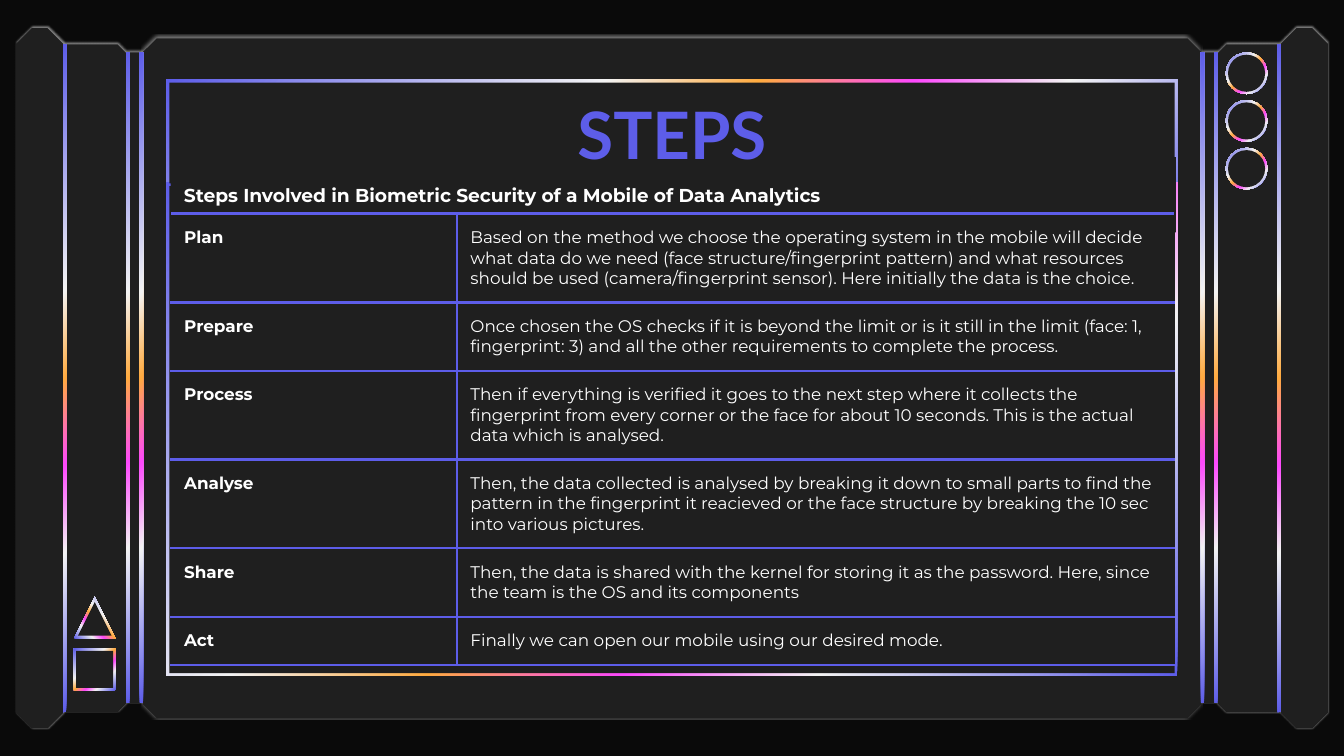
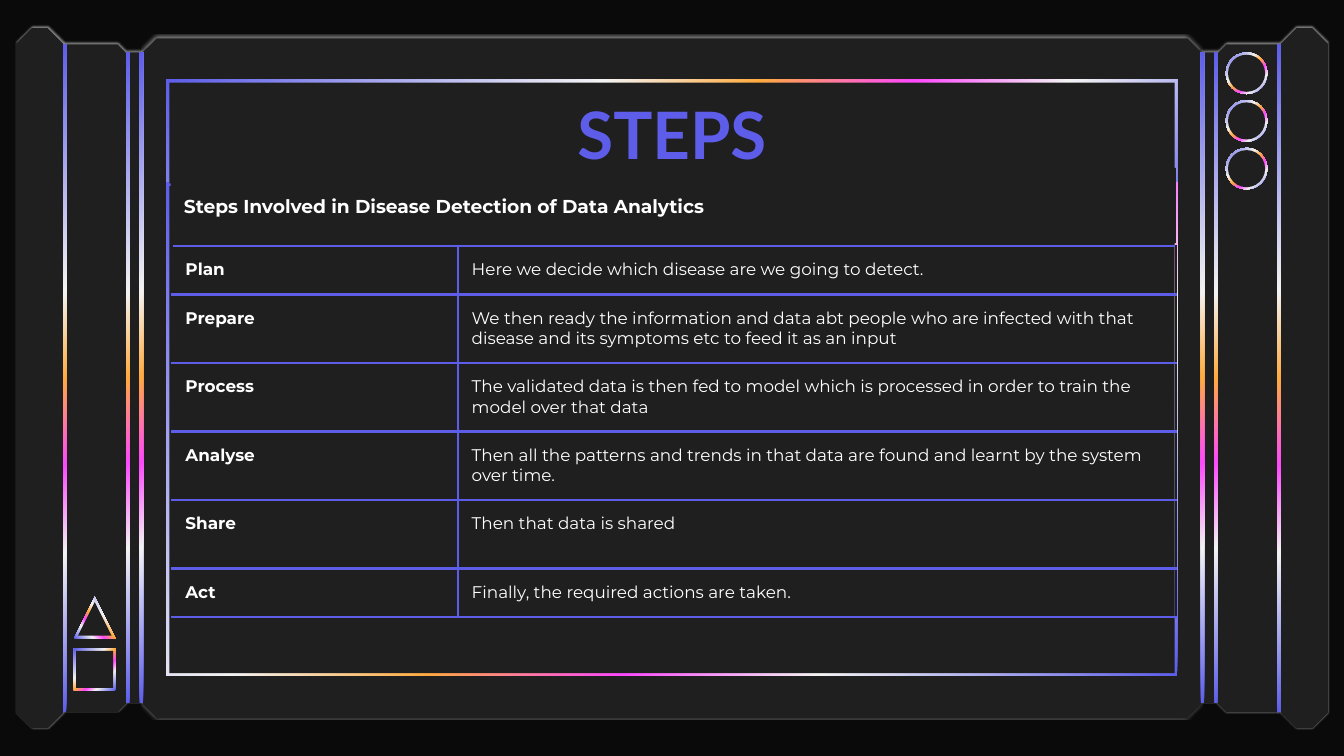
from lxml.etree import SubElement
from pptx import Presentation
from pptx.dml.color import RGBColor
from pptx.enum.shapes import MSO_SHAPE as Preset
from pptx.enum.text import MSO_ANCHOR as Anchor, PP_ALIGN as Align
from pptx.oxml.ns import qn
from pptx.util import Inches, Pt

COLUMNS, ROWS = 100, 56.25
CELL = Inches(0.1)

COLORS = {
    "backdrop": "0A0A0A",
    "panel": "1F1F1F",
    "accent": "5D5DE9",
    "light": "F3F3F3",
    "pink": "FD49FD",
    "orange": "FFAB40",
    "text": "FFFFFF",
}
NEON_STOPS = [(0, "accent"), (24, "light"), (37, "pink"),
              (50, "orange"), (63, "light"), (100, "accent")]
HEADING_FONT, BODY_FONT = "Lato", "Montserrat"
PADDING = 1
STAGE_COLUMNS = (21.3, 53.4)

BIOMETRIC_STEPS = [
    ("Plan", 6.6, "Based on the method we choose the operating system in the mobile will decide "
     "what data do we need (face structure/fingerprint pattern) and what resources should be "
     "used (camera/fingerprint sensor). Here initially the data is the choice."),
    ("Prepare", 5.1, "Once chosen the OS checks if it is beyond the limit or is it still in the "
     "limit (face: 1, fingerprint: 3) and all the other requirements to complete the process."),
    ("Process", 6.6, "Then if everything is verified it goes to the next step where it collects "
     "the fingerprint from every corner or the face for about 10 seconds. This is the actual "
     "data which is analysed."),
    ("Analyse", 6.6, "Then, the data collected is analysed by breaking it down to small parts to "
     "find the pattern in the fingerprint it reacieved or the face structure by breaking the "
     "10 sec into various pictures."),
    ("Share", 5.1, "Then, the data is shared with the kernel for storing it as the password. "
     "Here, since the team is the OS and its components"),
    ("Act", 3.6, "Finally we can open our mobile using our desired mode."),
]
DISEASE_STEPS = [
    ("Plan", 3.6, "Here we decide which disease are we going to detect."),
    ("Prepare", 5.1, "We then ready the information and data abt people who are infected with "
     "that disease and its symptoms etc to feed it as an input"),
    ("Process", 5.1, "The validated data is then fed to model which is processed in order to "
     "train the model over that data"),
    ("Analyse", 5.1, "Then all the patterns and trends in that data are found and learnt by the "
     "system over time."),
    ("Share", 5.1, "Then that data is shared"),
    ("Act", 3.6, "Finally, the required actions are taken."),
]


def cells(*counts):
    """Turn counts of grid cells into lengths."""
    return [round(count * CELL) for count in counts]


def rgb(color):
    return RGBColor.from_string(COLORS[color])


def add_color(parent, color):
    return SubElement(parent, qn("a:srgbClr"), val=COLORS[color])


def add_plain(slide, preset, box, color="panel"):
    shape = slide.shapes.add_shape(preset, *cells(*box))
    shape.shadow.inherit = False
    shape.line.fill.background()
    shape.fill.solid()
    shape.fill.fore_color.rgb = rgb(color)
    return shape


def add_neon(slide, preset, box):
    """Add a shape filled with the gradient that runs up from the lower right."""
    shape = add_plain(slide, preset, box)
    shape.fill.gradient()
    shape.fill.gradient_angle = 135
    stops = shape.element.spPr.find(qn("a:gradFill")).find(qn("a:gsLst"))
    for stop in list(stops):
        stops.remove(stop)
    for percent, color in NEON_STOPS:
        add_color(SubElement(stops, qn("a:gs"), pos=str(percent * 1000)), color)
    return shape


def add_ring(slide, preset, left, top, size=3.1, rim=0.17):
    add_neon(slide, preset, (left, top, size, size))
    inner = size - 2 * rim
    add_plain(slide, preset, (left + rim, top + rim, inner, inner))


def add_triangle_ring(slide, left, top):
    outer = add_neon(slide, Preset.ISOSCELES_TRIANGLE, (left, top, 3.1, 3.1))
    outer.element.spPr.xfrm.set("flipH", "1")
    add_plain(slide, Preset.ISOSCELES_TRIANGLE, (left + 0.3, top + 0.4, 2.5, 2.5))


def add_plate(slide, box, snips, turn=0):
    """Add a plate with cut corners and a lit edge; box is the area after the turn."""
    left, top, width, height = box
    if turn:
        shift = (width - height) / 2
        box = (left + shift, top - shift, height, width)
    plate = add_plain(slide, Preset.SNIP_2_SAME_RECTANGLE, box)
    plate.rotation = turn
    for index, snip in enumerate(snips):
        plate.adjustments[index] = snip
    glow = SubElement(plate.element.spPr.find(qn("a:effectLst")), qn("a:outerShdw"),
                      blurRad="14288", dist="9525", dir="16260000",
                      algn="bl", rotWithShape="0")
    SubElement(add_color(glow, "text"), qn("a:alpha"), val="50000")


def mirrored(box):
    left, top, width, height = box
    return COLUMNS - left - width, top, width, height


def add_plate_pair(slide, box, snips, turn=0):
    add_plate(slide, box, snips, turn)
    add_plate(slide, mirrored(box), snips, -turn % 360)


def add_console(slide):
    """Draw the dark console with its side rails, lamps and upper frame."""
    slide.background.fill.solid()
    slide.background.fill.fore_color.rgb = rgb("backdrop")

    add_plate_pair(slide, (9.4, 3.9, 1.2, 48.4), (0, 0), 90)
    add_plate(slide, (10.65, 2.85, 78.7, 50.6), (0.02, 0.02), 90)
    add_plate_pair(slide, (4.7, 3.3, 4.7, 49.7), (0.14, 0), 90)
    add_plate_pair(slide, (1.2, 2.1, 3.5, 52.1), (0.33, 0.33))

    for left, top, height in ((9.4, 3.9, 48.4), (10.4, 3.9, 48.4), (4.7, 3.3, 49.7)):
        rail = (left, top, 0.25, height)
        add_neon(slide, Preset.RECTANGLE, rail)
        add_neon(slide, Preset.RECTANGLE, mirrored(rail))

    for lamp in range(3):
        add_ring(slide, Preset.OVAL, 91.2, 3.9 + 3.55 * lamp)
    add_triangle_ring(slide, 5.5, 44.4)
    add_ring(slide, Preset.RECTANGLE, 5.5, 48.25)

    add_neon(slide, Preset.RECTANGLE, (12.4, 5.9, 75.2, 13.2))
    add_neon(slide, Preset.RECTANGLE, (12.4, 13.6, 75.2, 36.7))
    add_plain(slide, Preset.RECTANGLE, (12.6, 13.85, 74.8, 36.25))


def write(frame, text, font, size, color, bold=False, align=Align.LEFT):
    frame.word_wrap = True
    frame.text = text
    paragraph = frame.paragraphs[0]
    paragraph.alignment = align
    style = paragraph.runs[0].font
    style.name, style.size, style.bold = font, Pt(size), bold
    style.color.rgb = rgb(color)


def add_label(slide, box, *text_style, **options):
    frame = add_plain(slide, Preset.RECTANGLE, box).text_frame
    frame.vertical_anchor = Anchor.MIDDLE
    (frame.margin_left, frame.margin_top,
     frame.margin_right, frame.margin_bottom) = cells(*[PADDING] * 4)
    write(frame, *text_style, **options)


def set_borders(cell, **borders):
    """Draw cell edges, each given as (colour, points), below the cell's fill in order."""
    properties = cell._tc.get_or_add_tcPr()
    for index, side in enumerate(("L", "R", "T", "B")):
        color, points = borders[side]
        edge = properties.makeelement(qn(f"a:ln{side}"), {"w": str(Pt(points))})
        add_color(SubElement(edge, qn("a:solidFill")), color)
        properties.insert(index, edge)


def add_steps_table(slide, left, top, steps):
    height = sum(row_height for _, row_height, _ in steps)
    table = slide.shapes.add_table(
        len(steps), len(STAGE_COLUMNS),
        *cells(left, top, sum(STAGE_COLUMNS), height)).table
    table.first_row = table.horz_banding = False
    for column, width in zip(table.columns, cells(*STAGE_COLUMNS)):
        column.width = width

    rule, margin = ("accent", 1.5), ("panel", 0.75)
    for row, (stage, row_height, detail) in zip(table.rows, steps):
        row.height = cells(row_height)[0]
        for index, (cell, text) in enumerate(zip(row.cells, (stage, detail))):
            is_stage = index == 0
            (cell.margin_left, cell.margin_top,
             cell.margin_right, cell.margin_bottom) = cells(*[PADDING] * 4)
            cell.fill.background()
            write(cell.text_frame, text, BODY_FONT, 9, "text", bold=is_stage)
            set_borders(cell, T=rule, B=rule,
                        L=margin if is_stage else rule,
                        R=rule if is_stage else margin)


def add_steps_slide(deck, subtitle, subtitle_top, table_corner, steps):
    slide = deck.slides.add_slide(deck.slide_layouts[6])
    add_console(slide)
    add_label(slide, (12.7, subtitle_top, 74.8, 5.6),
              subtitle, BODY_FONT, 10, "text", bold=True)
    add_label(slide, (12.6, 6.15, 74.8, 7.5),
              "STEPS", HEADING_FONT, 35, "accent", bold=True, align=Align.CENTER)
    add_steps_table(slide, *table_corner, steps)


def main():
    deck = Presentation()
    deck.slide_width, deck.slide_height = cells(COLUMNS, ROWS)
    add_steps_slide(deck, "Steps Involved in Biometric Security of a Mobile of Data Analytics",
                    11.7, (12.7, 15.9), BIOMETRIC_STEPS)
    add_steps_slide(deck, "Steps Involved in Disease Detection of Data Analytics",
                    12.5, (12.8, 18.3), DISEASE_STEPS)
    deck.save("out.pptx")


if __name__ == "__main__":
    main()
